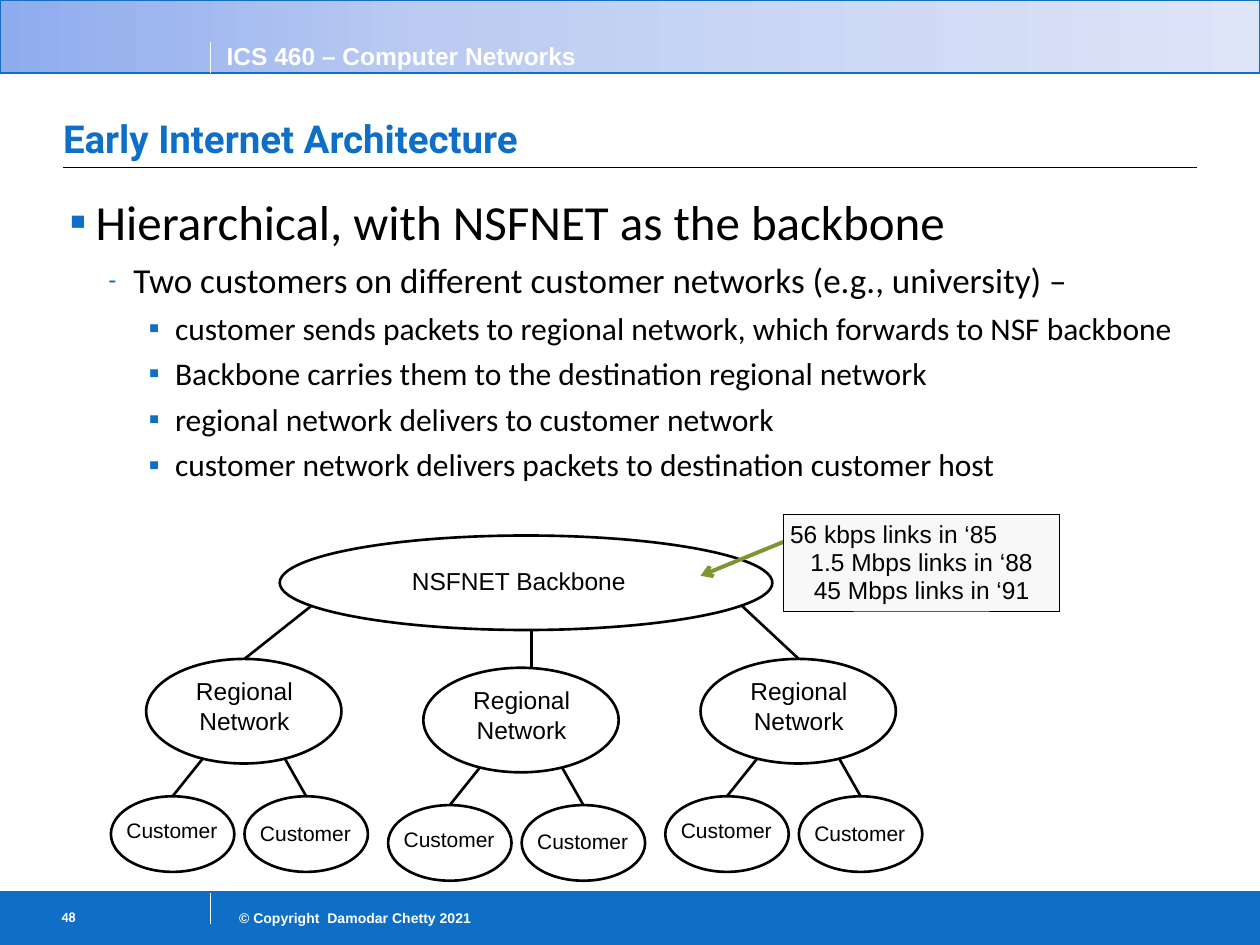
from copy import deepcopy

from lxml import etree
from pptx import Presentation
from pptx import util as u
from pptx.dml.color import RGBColor
from pptx.enum import shapes, text
from pptx.oxml.ns import qn

BLUE = RGBColor(0x0F, 0x6F, 0xC6)
BLACK = RGBColor(0, 0, 0)
WHITE = RGBColor(255, 255, 255)
PALE = RGBColor(0xF8, 0xF8, 0xF8)
OLIVE = RGBColor(0x7E, 0x96, 0x32)
BANNER_STOPS = [(0, RGBColor(0x8E, 0xAB, 0xEE)), (0.34, RGBColor(0xBB, 0xCB, 0xF2)),
                (1, RGBColor(0xDE, 0xE5, 0xF8))]

WIDTH, HEIGHT = u.Inches(10), u.Inches(7.5)
COLUMNS, ROWS = 100, 75
LEFT, CENTER, RIGHT = text.PP_ALIGN.LEFT, text.PP_ALIGN.CENTER, text.PP_ALIGN.RIGHT
RECT, OVAL = shapes.MSO_SHAPE.RECTANGLE, shapes.MSO_SHAPE.OVAL
LABEL = {"name": "Arial", "size": u.Pt(14)}
SMALL_LABEL = {"name": "Arial", "size": u.Pt(12)}
BANNER_TEXT = {"name": "Arial", "size": u.Pt(14), "bold": True}
FOOTER_TEXT = {"name": "Arial", "size": u.Pt(8), "bold": True}
PAGE_NUMBER = {"name": "Calibri", "size": u.Pt(8), "bold": True}
TITLE = {"name": "Roboto", "size": u.Pt(22), "bold": True}

LEVELS = [
    {"size": 28, "margin": 2.1, "hang": 2.1, "bullet": "▪", "scale": 100},
    {"size": 20, "margin": 5.1, "hang": 2, "bullet": "-", "scale": 70},
    {"size": 18, "margin": 8.4, "hang": 2.1, "bullet": "▪", "scale": 100},
]
POINTS = [
    (0, "Hierarchical, with NSFNET as the backbone"),
    (1, "Two customers on different customer networks (e.g., university) –"),
    (2, "customer sends packets to regional network, which forwards to NSF backbone"),
    (2, "Backbone carries them to the destination regional network"),
    (2, "regional network delivers to customer network"),
    (2, "customer network delivers packets to destination customer host"),
]
REGIONS = [(11.6, 52.3), (33.6, 53), (55.6, 52.3)]
TRUNKS = [((24.7, 48.1), (19.4, 52.3)), ((42.2, 50), (42.2, 53)), ((58.9, 48.1), (63.4, 52.3))]


def col(count):
    return u.Emu(round(WIDTH * count / COLUMNS))


def row(count):
    return u.Emu(round(HEIGHT * count / ROWS))


def area(left, top, width, height):
    return col(left), row(top), col(width), row(height)


def apply(target, values):
    for name, value in values.items():
        setattr(target, name, value)


def style_font(para, values, color):
    apply(para.font, values)
    para.font.color.rgb = color


def set_insets(frame, left, top, right, bottom):
    apply(frame, {"margin_left": col(left), "margin_top": row(top),
                  "margin_right": col(right), "margin_bottom": row(bottom)})


def write(frame, lines, values, color, align=LEFT):
    for index, line in enumerate(lines):
        para = frame.paragraphs[0] if index == 0 else frame.add_paragraph()
        para.text = line
        para.alignment = align
        style_font(para, values, color)


def add_text(page, place, lines, values, color=BLACK, align=LEFT, wrap=False):
    frame = page.shapes.add_textbox(*area(*place)).text_frame
    frame.word_wrap = wrap
    write(frame, lines, values, color, align)
    return frame


def add_block(page, kind, place, line, points, fill=None):
    block = page.shapes.add_shape(kind, *area(*place))
    block.shadow.inherit = False
    block.line.color.rgb = line
    block.line.width = u.Pt(points)
    if fill is None:
        block.fill.background()
    else:
        block.fill.solid()
        block.fill.fore_color.rgb = fill
    return block


def add_line(page, start, end, color=BLACK, points=1.5, arrow=False):
    line = page.shapes.add_connector(shapes.MSO_CONNECTOR.STRAIGHT, col(start[0]), row(start[1]),
                                     col(end[0]), row(end[1]))
    line.line.color.rgb = color
    line.line.width = u.Pt(points)
    if arrow:
        etree.SubElement(line.line._get_or_add_ln(), qn("a:tailEnd"), type="arrow")
    etree.SubElement(line._element.spPr, qn("a:effectLst"))


def add_banner(page):
    banner = add_block(page, RECT, (0, 0, 100, 5.8), BLUE, 0.75)
    banner.fill.gradient()
    banner.fill.gradient_angle = 0
    stops = banner._element.spPr.find(qn("a:gradFill")).find(qn("a:gsLst"))
    stops.append(deepcopy(stops[0]))
    for stop, (position, color) in zip(banner.fill.gradient_stops, BANNER_STOPS):
        stop.position = position
        stop.color.rgb = color


def add_frame(page):
    add_block(page, RECT, (0, 70.8, 100, 4.2), BLUE, 0.75, BLUE)
    add_banner(page)
    add_text(page, (16.7, 71.7, 21.7, 2.4), ["© Copyright  Damodar Chetty 2021"],
             FOOTER_TEXT, WHITE, RIGHT, True)
    for top, bottom in [(70.8, 73.3), (3.3, 5.8)]:
        add_line(page, (16.7, top), (16.7, bottom), WHITE, 0.75)
    for edge in (5.8, 70.8):
        add_line(page, (0, edge), (100, edge), BLUE, 0.5)
    add_line(page, (5, 13.3), (95, 13.3), BLACK, 0.75)
    add_text(page, (17, 2.8, 40.5, 3.4), ["ICS 460 – Computer Networks"],
             BANNER_TEXT, WHITE, wrap=True)
    number = add_text(page, (3.3, 71.4, 13.3, 3.5), ["48"], PAGE_NUMBER, WHITE, wrap=True)
    set_insets(number, 1.6, 0.7, 1, 0.5)


def set_title(page):
    title = page.shapes.title
    left, top, width, height = area(5, 6.1, 90, 7.2)
    apply(title, {"left": left, "top": top, "width": width, "height": height})
    frame = title.text_frame
    apply(frame, {"word_wrap": True, "vertical_anchor": text.MSO_ANCHOR.BOTTOM})
    set_insets(frame, 0, 0.5, 0, 0.5)
    write(frame, ["Early Internet Architecture"], TITLE, BLUE)


def add_bullet(para, level):
    props = para._p.get_or_add_pPr()
    props.set("marL", str(col(level["margin"])))
    props.set("indent", str(-col(level["hang"])))
    color = etree.SubElement(props, qn("a:buClr"))
    etree.SubElement(color, qn("a:srgbClr"), val=str(BLUE))
    etree.SubElement(props, qn("a:buSzPct"), val=str(level["scale"] * 1000))
    etree.SubElement(props, qn("a:buFont"), typeface="Arial")
    etree.SubElement(props, qn("a:buChar"), char=level["bullet"])


def add_points(page):
    frame = page.shapes.add_textbox(*area(5, 14.5, 95, 53.8)).text_frame
    frame.word_wrap = True
    set_insets(frame, 0.5, 0.5, 0.5, 0.5)
    for index, (depth, line) in enumerate(POINTS):
        level = LEVELS[depth]
        para = frame.add_paragraph() if index else frame.paragraphs[0]
        para.text = line
        add_bullet(para, level)
        apply(para, {"level": depth, "line_spacing": 1.04,
                     "space_before": u.Pt(level["size"] * 0.2 if index else 0)})
        style_font(para, {"name": "Calibri", "size": u.Pt(level["size"])}, BLACK)


def add_region(page, left, top):
    add_block(page, OVAL, (left, top, 15.5, 8.3), BLACK, 1.5)
    add_text(page, (left + 2.9, top + 0.9, 9.8, 5.7), ["Regional", "Network"], LABEL, align=CENTER)
    for shift, branch, label_drop in [(-2.8, 4.5, 12.1), (7.8, 11, 12.3)]:
        add_block(page, OVAL, (left + shift, top + 10.9, 9.8, 6), BLACK, 1.5)
        add_line(page, (left + branch, top + 7.9), (left + shift + 4.9, top + 10.9))
        add_text(page, (left + shift + 0.2, top + label_drop, 9.3, 3), ["Customer"],
                 SMALL_LABEL, align=CENTER)


def add_network(page):
    add_block(page, OVAL, (22.2, 42.5, 39.1, 7.5), BLACK, 1.5)
    add_text(page, (31.7, 44.4, 19.1, 3.4), ["NSFNET Backbone"], LABEL)
    for region, trunk in zip(REGIONS, TRUNKS):
        add_region(page, *region)
        add_line(page, *trunk)


def add_speed_note(page):
    add_line(page, (62.2, 43), (55.6, 45.7), OLIVE, 2.25, True)
    frame = add_block(page, RECT, (62.2, 40.8, 21.9, 7.7), BLACK, 0.5, PALE).text_frame
    apply(frame, {"word_wrap": True, "vertical_anchor": text.MSO_ANCHOR.TOP})
    set_insets(frame, 0.5, 0.5, 0.5, 0.5)
    write(frame, ["56 kbps links in ‘85", "1.5 Mbps links in ‘88", "45 Mbps links in ‘91"],
          LABEL, BLACK, CENTER)
    frame.paragraphs[0].alignment = LEFT
    for para in frame.paragraphs:
        para.line_spacing = u.Pt(16)


def main():
    deck = Presentation()
    apply(deck, {"slide_width": WIDTH, "slide_height": HEIGHT})
    page = deck.slides.add_slide(deck.slide_layouts[5])
    add_frame(page)
    set_title(page)
    add_points(page)
    add_network(page)
    add_speed_note(page)
    deck.save("out.pptx")


if __name__ == "__main__":
    main()
